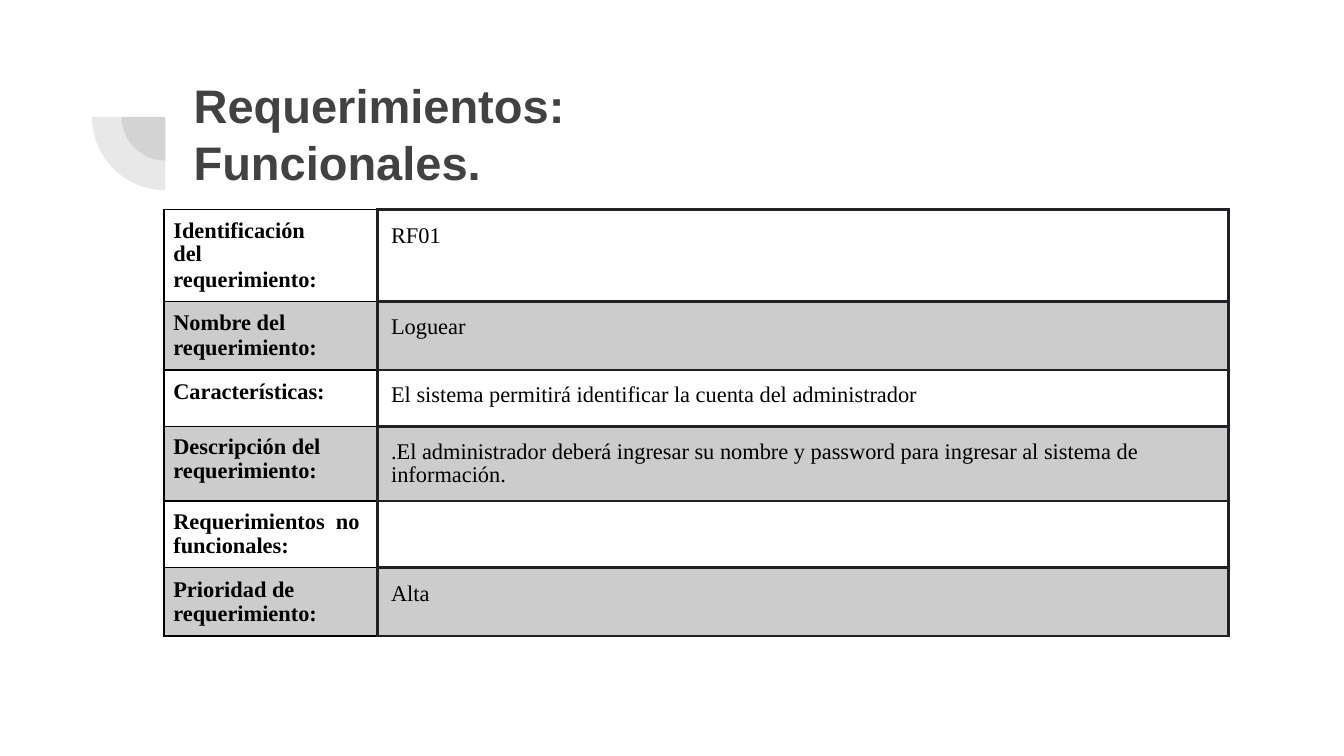
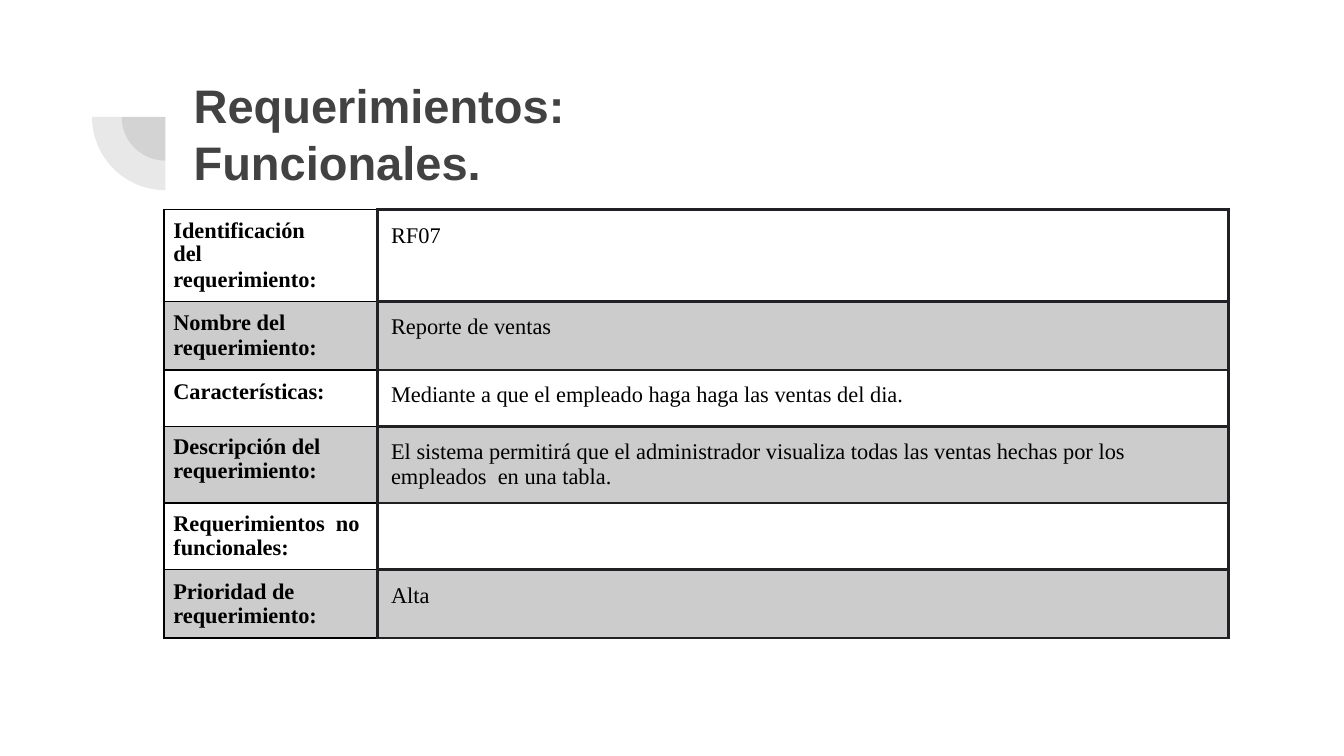
from dataclasses import dataclass

from lxml import etree
from pptx import Presentation
from pptx.dml.color import RGBColor
from pptx.enum import shapes, text
from pptx.oxml import ns
from pptx.util import Inches, Pt


@dataclass(frozen=True)
class Theme:
    """Colours, fonts and type sizes of the deck."""
    heading: str = "424242"
    ink: str = "000000"
    rule: str = "202124"
    band: str = "CCCCCC"
    title_font: str = "Arial"
    table_font: str = "Times New Roman"
    title_size: float = 25.2
    table_size: float = 12
    pie_opacity: int = 12


THEME = Theme()
TIGHT = 0.96
TITLE = ["Requerimientos:", "Funcionales."]
COLUMNS = [1.59, 6.33]
ROW_HEIGHT = 0.42
LABEL_INSET, VALUE_INSET = 0.07, 0.1
LABELS = [
    (["Identificación  del", "requerimiento:"], TIGHT),
    (["Nombre del", "requerimiento:"], None),
    (["Características:"], None),
    (["Descripción del  requerimiento:"], TIGHT),
    (["Requerimientos  no funcionales:"], TIGHT),
    (["Prioridad de", "requerimiento:"], None),
]
REQUIREMENTS = [
    [
        ("RF01", None),
        ("Loguear", None),
        ("El sistema permitirá identificar la cuenta del administrador", TIGHT),
        (".El administrador deberá ingresar su nombre y password para "
         "ingresar al sistema de información.", TIGHT),
        ("", None),
        ("Alta", None),
    ],
    [
        ("RF07", None),
        ("Reporte de ventas", None),
        ("Mediante a que el empleado haga haga las ventas del dia.", TIGHT),
        ("El sistema permitirá que el administrador visualiza todas las "
         "ventas hechas por los empleados  en una tabla.", None),
        ("", None),
        ("Alta", None),
    ],
]


def set_insets(frame, inset):
    """Give a text frame or cell the same margin on all sides."""
    frame.margin_left = frame.margin_right = Inches(inset)
    frame.margin_top = frame.margin_bottom = Inches(inset)


def write_lines(frame, lines, font, size, color, bold):
    """Write each line as a paragraph with one styled run."""
    for index, line in enumerate(lines):
        para = frame.add_paragraph() if index else frame.paragraphs[0]
        para.alignment = text.PP_ALIGN.LEFT
        span = para.add_run()
        span.text = line
        span.font.name = font
        span.font.size = Pt(size)
        span.font.bold = bold
        span.font.color.rgb = RGBColor.from_string(color)


def add_layout_pie(page, center, size):
    """Add a translucent quarter pie and move it to the shared layout."""
    left, top = (Inches(middle - size / 2) for middle in center)
    pie = page.shapes.add_shape(shapes.MSO_SHAPE.PIE, left, top, Inches(size), Inches(size))
    pie.adjustments[0], pie.adjustments[1] = 108, 162
    pie.rotation = 270
    pie.shadow.inherit = False
    pie.line.fill.background()
    pie.fill.solid()
    pie.fill.fore_color.rgb = RGBColor.from_string(THEME.heading)
    color = pie.element.spPr.find(".//" + ns.qn("a:srgbClr"))
    etree.SubElement(color, ns.qn("a:alpha"), val=str(THEME.pie_opacity * 1000))
    page.slide_layout.element.cSld.spTree.append(pie.element)


def add_title(page):
    """Place and write the page title."""
    box = page.shapes.title
    box.left, box.top, box.width, box.height = map(Inches, (1.34, 0.47, 7.69, 1.09))
    frame = box.text_frame
    frame.word_wrap = True
    frame.auto_size = text.MSO_AUTO_SIZE.NONE
    frame.vertical_anchor = text.MSO_ANCHOR.TOP
    set_insets(frame, 0.1)
    write_lines(frame, TITLE, THEME.title_font, THEME.title_size, THEME.heading, True)


def set_borders(cell, **sides):
    """Draw the cell edges from (colour, width) pairs named L, R, T and B."""
    properties = cell._tc.get_or_add_tcPr()
    for side, (color, width) in sides.items():
        line = etree.SubElement(properties, ns.qn("a:ln" + side), w=str(Pt(width)))
        fill = etree.SubElement(line, ns.qn("a:solidFill"))
        etree.SubElement(fill, ns.qn("a:srgbClr"), val=color)


def fill_cell(cell, lines, spacing, bold, inset, banded):
    """Write a table cell and set its margins and fill."""
    set_insets(cell, inset)
    cell.vertical_anchor = text.MSO_ANCHOR.TOP
    if banded:
        cell.fill.solid()
        cell.fill.fore_color.rgb = RGBColor.from_string(THEME.band)
    else:
        cell.fill.background()
    frame = cell.text_frame
    if lines:
        write_lines(frame, lines, THEME.table_font, THEME.table_size, THEME.ink, bold)
        if spacing:
            frame.paragraphs[0].line_spacing = spacing
    else:
        etree.SubElement(frame.paragraphs[0]._p, ns.qn("a:endParaRPr"),
                         sz=str(THEME.table_size * 100))


def add_requirement_table(page, values):
    """Add the table of labels and values for one requirement."""
    table = page.shapes.add_table(
        len(LABELS), len(COLUMNS), Inches(1.22), Inches(1.56),
        Inches(sum(COLUMNS)), Inches(ROW_HEIGHT * len(LABELS))).table
    table.first_row = table.horz_banding = False
    for column, width in zip(table.columns, COLUMNS):
        column.width = Inches(width)
    thin, thick = (THEME.ink, 1), (THEME.rule, 1.5)
    for index, ((lines, label_spacing), (value, spacing)) in enumerate(zip(LABELS, values)):
        table.rows[index].height = Inches(ROW_HEIGHT)
        label_cell, value_cell = table.cell(index, 0), table.cell(index, 1)
        banded = index % 2 == 1
        set_borders(label_cell, L=thin, R=thick, T=thin, B=thin)
        set_borders(value_cell, L=thick, R=thick, T=thick, B=thick)
        fill_cell(label_cell, lines, label_spacing, True, LABEL_INSET, banded)
        fill_cell(value_cell, [value] if value else [], spacing, False, VALUE_INSET, banded)
    first, second = table.cell(0, 0).text_frame.paragraphs
    first._p.get_or_add_pPr().set("marR", str(Inches(0.3)))
    second.space_before = Pt(0.3)


def main():
    """Build and save the deck."""
    deck = Presentation()
    deck.slide_width = Inches(10)
    deck.slide_height = deck.slide_width * 9 // 16
    layout = deck.slide_layouts.get_by_name("Title Only")
    pages = [deck.slides.add_slide(layout) for _ in REQUIREMENTS]
    for size in (0.65, 1.09):
        add_layout_pie(pages[0], (1.23, 0.87), size)
    for page, values in zip(pages, REQUIREMENTS):
        add_title(page)
        add_requirement_table(page, values)
    deck.save("out.pptx")


if __name__ == "__main__":
    main()
